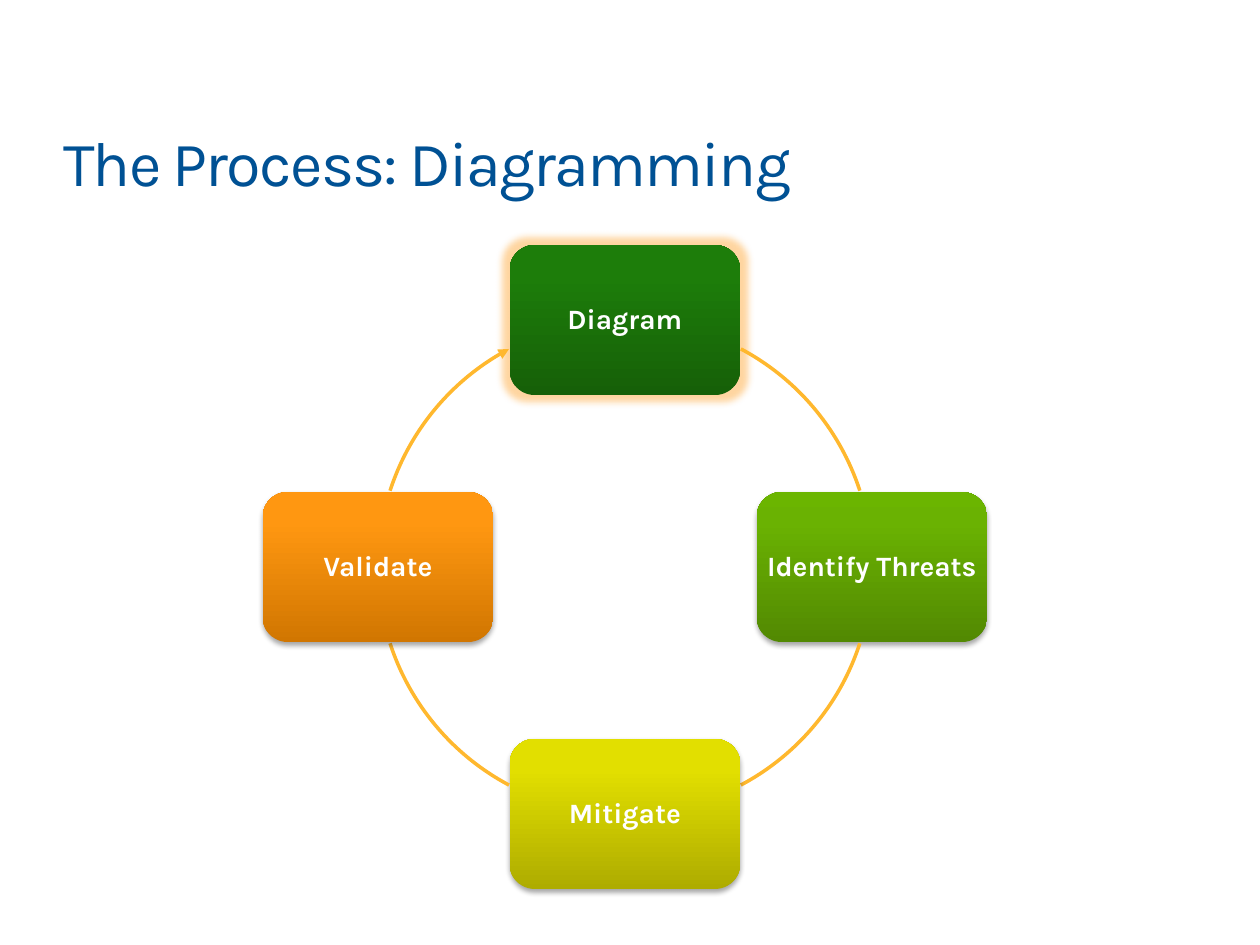
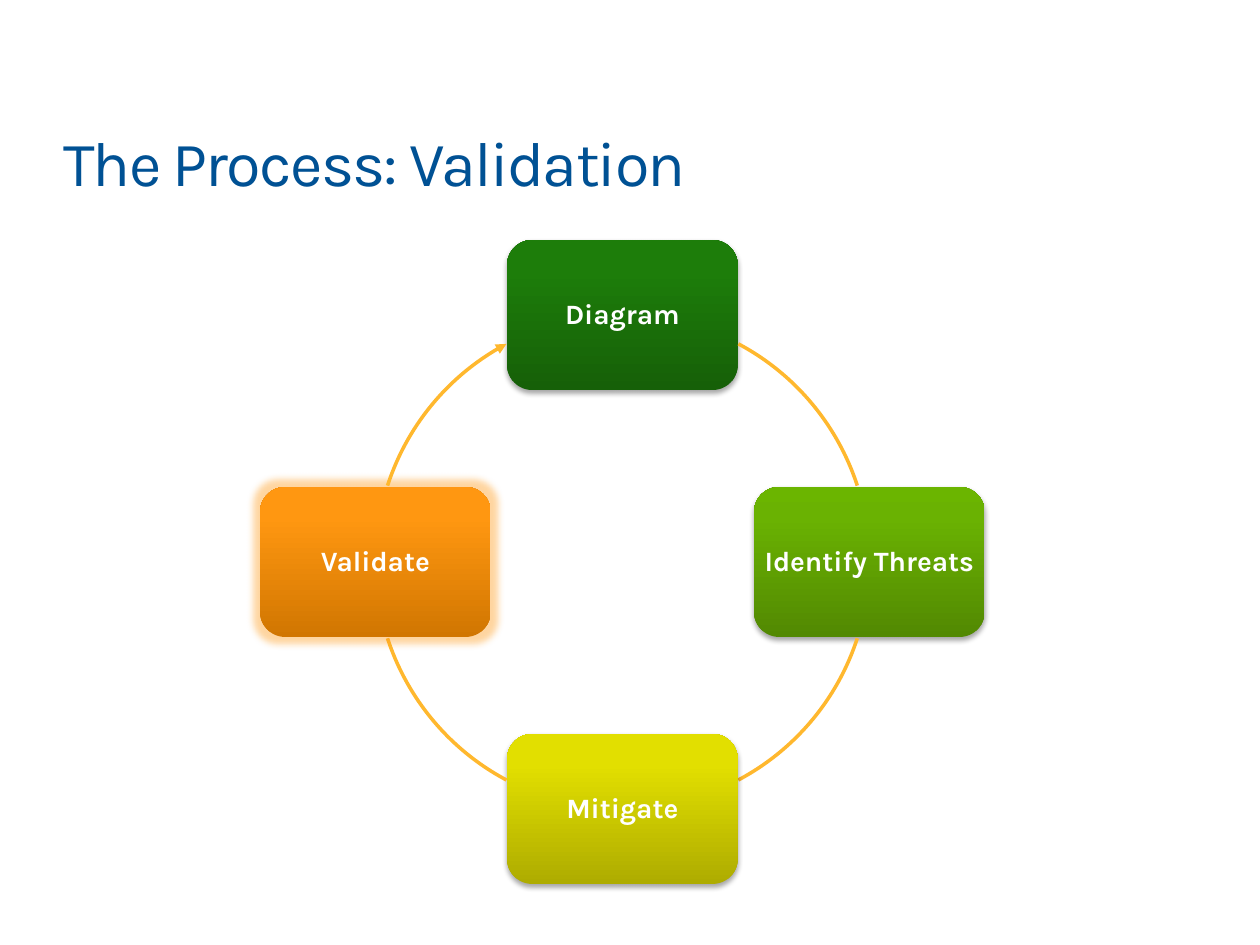
"""Build two slides that show the threat modelling cycle with the current step glowing."""

from copy import deepcopy
from dataclasses import dataclass
from math import cos, radians, sin

from lxml.etree import SubElement
from pptx import Presentation
from pptx.dml.color import RGBColor
from pptx.enum.shapes import MSO_SHAPE
from pptx.enum.text import MSO_ANCHOR, PP_ALIGN
from pptx.oxml.ns import qn
from pptx.presentation import Presentation as Deck
from pptx.shapes.autoshape import Shape
from pptx.slide import Slide
from pptx.util import Inches, Pt


@dataclass(frozen=True)
class Theme:
    font: str = "Karla"
    title_color: str = "005194"
    label_color: str = "FFFFFF"
    arc_color: str = "FFB82E"
    glow_color: str = "FF9813"
    shadow_color: str = "000000"
    title_size: int = 36
    label_size: int = 16
    arc_width: int = 2


@dataclass(frozen=True)
class Step:
    label: str
    shades: tuple[str, str, str]
    angle: int
    arc_start: int


@dataclass(frozen=True)
class CycleSlide:
    title: str
    current: str
    center_x: float
    center_y: float


THEME = Theme()
BOX_WIDTH, BOX_HEIGHT = 1.83, 1.19
RADIUS = 1.96
ARC_SWEEP = 44
SHADE_POSITIONS = (0, 0.8, 1)

STEPS = (
    Step("Diagram", ("166008", "1D7D0A", "1C7F08"), 270, 298),
    Step("Identify Threats", ("528902", "6AB202", "6BB500"), 0, 18),
    Step("Mitigate", ("AEAC00", "E2DF00", "E3E100"), 90, 118),
    Step("Validate", ("D17601", "FF9711", "FF9813"), 180, 198),
)
SLIDES = (
    CycleSlide("The Process: Diagramming", "Diagram", 4.96, 4.5),
    CycleSlide("The Process: Validation", "Validate", 4.94, 4.46),
)


def add_title(s: Slide, text: str) -> None:
    tf = s.shapes.add_textbox(Inches(0.5), Inches(0.98), Inches(9.01), Inches(0.61)).text_frame
    tf.word_wrap = True
    tf.margin_left = tf.margin_right = tf.margin_top = tf.margin_bottom = 0
    tf.text = text
    r = tf.paragraphs[0].runs[0]
    r.font.name = THEME.font
    r.font.size = Pt(THEME.title_size)
    r.font.color.rgb = RGBColor.from_string(THEME.title_color)
    r.font._element.set("spc", "-100")


def shade(sp: Shape, shades: tuple[str, str, str]) -> None:
    sp.fill.gradient()
    sp.fill.gradient_angle = 90
    stop_list = sp._element.spPr.find(f".//{qn('a:gsLst')}")
    stop_list.append(deepcopy(stop_list[0]))
    for stop, position, color in zip(sp.fill.gradient_stops, SHADE_POSITIONS, shades):
        stop.position = position
        stop.color.rgb = RGBColor.from_string(color)


def add_effect(sp: Shape, tag: str, color: str, alpha: int, **settings: str) -> None:
    sp.shadow.inherit = False
    effects = sp._element.spPr.find(qn("a:effectLst"))
    effect = SubElement(effects, qn(tag), settings)
    tint = SubElement(effect, qn("a:srgbClr"), val=color)
    SubElement(tint, qn("a:alpha"), val=str(alpha * 1000))


def add_step(s: Slide, step: Step, cycle: CycleSlide) -> None:
    angle = radians(step.angle)
    left = cycle.center_x + RADIUS * cos(angle) - BOX_WIDTH / 2
    top = cycle.center_y + RADIUS * sin(angle) - BOX_HEIGHT / 2
    sp = s.shapes.add_shape(MSO_SHAPE.ROUNDED_RECTANGLE, Inches(left), Inches(top),
                            Inches(BOX_WIDTH), Inches(BOX_HEIGHT))
    shade(sp, step.shades)
    sp.line.fill.background()
    if step.label == cycle.current:
        add_effect(sp, "a:glow", THEME.glow_color, 40, rad=str(Pt(8)))
    else:
        add_effect(sp, "a:outerShdw", THEME.shadow_color, 35, blurRad=str(Pt(3.1)),
                   dist=str(Pt(1.8)), dir="5400000", rotWithShape="0")
    tf = sp.text_frame
    tf.word_wrap = True
    tf.vertical_anchor = MSO_ANCHOR.MIDDLE
    tf.margin_left = tf.margin_right = tf.margin_top = tf.margin_bottom = Inches(0.01)
    tf.text = step.label
    p = tf.paragraphs[0]
    p.alignment = PP_ALIGN.CENTER
    p.line_spacing = 0.9
    r = p.runs[0]
    r.font.name = THEME.font
    r.font.size = Pt(THEME.label_size)
    r.font.bold = True
    r.font.color.rgb = RGBColor.from_string(THEME.label_color)


def add_arc(s: Slide, start: int, cycle: CycleSlide, arrow: bool) -> None:
    sp = s.shapes.add_shape(MSO_SHAPE.ARC, Inches(cycle.center_x - RADIUS),
                            Inches(cycle.center_y - RADIUS), Inches(2 * RADIUS), Inches(2 * RADIUS))
    sp.adjustments[0] = start * 0.6
    sp.adjustments[1] = (start + ARC_SWEEP) * 0.6
    sp.shadow.inherit = False
    sp.fill.background()
    sp.line.color.rgb = RGBColor.from_string(THEME.arc_color)
    sp.line.width = Pt(THEME.arc_width)
    if arrow:
        SubElement(sp.line._get_or_add_ln(), qn("a:tailEnd"), type="triangle")


def add_cycle_slide(prs: Deck, cycle: CycleSlide) -> None:
    s = prs.slides.add_slide(prs.slide_layouts[6])
    add_title(s, cycle.title)
    for step in STEPS:
        add_step(s, step, cycle)
        add_arc(s, step.arc_start, cycle, arrow=step is STEPS[-1])


def main() -> None:
    prs = Presentation()
    prs.slide_width, prs.slide_height = Inches(10), Inches(7.5)
    for cycle in SLIDES:
        add_cycle_slide(prs, cycle)
    prs.save("out.pptx")


if __name__ == "__main__":
    main()
